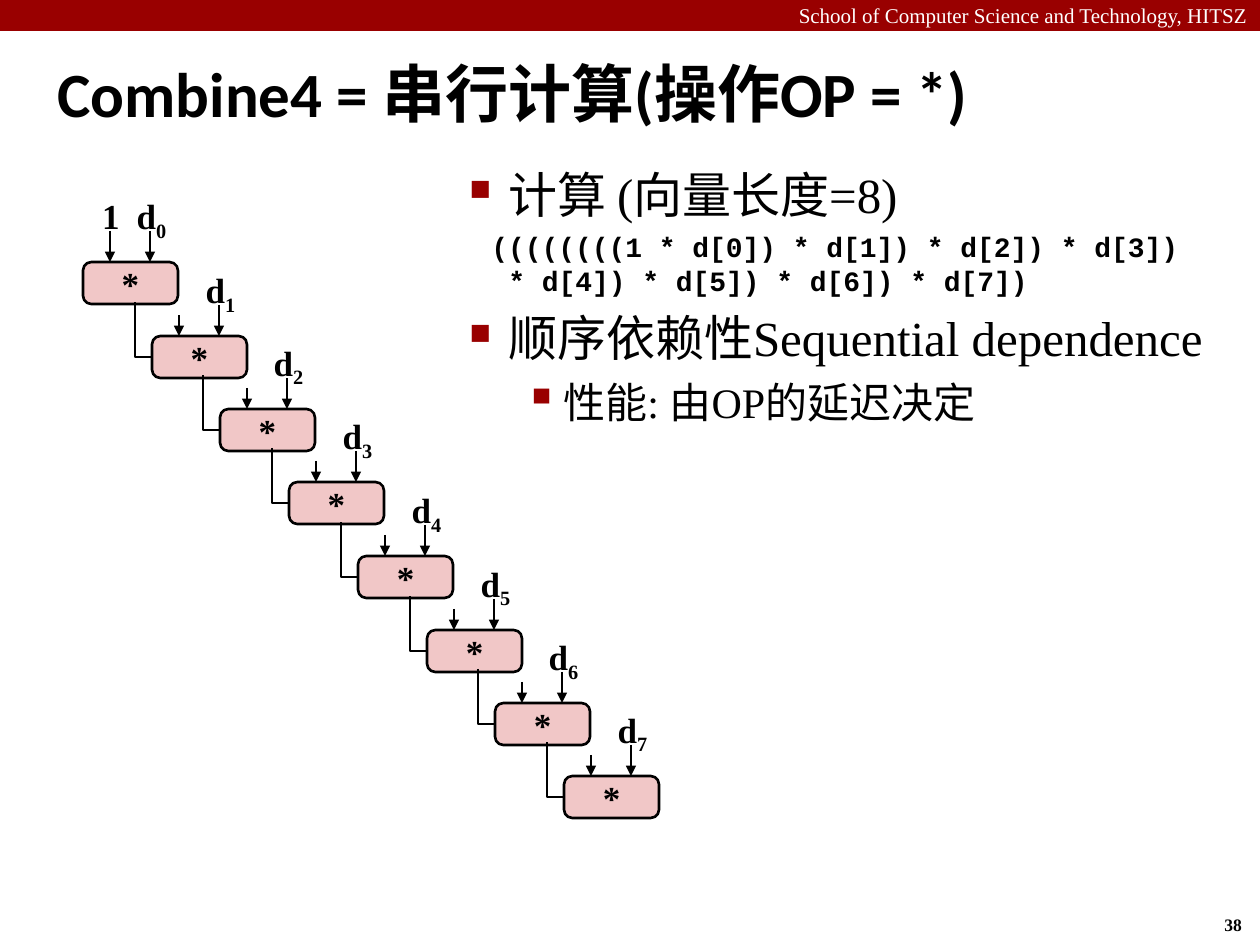
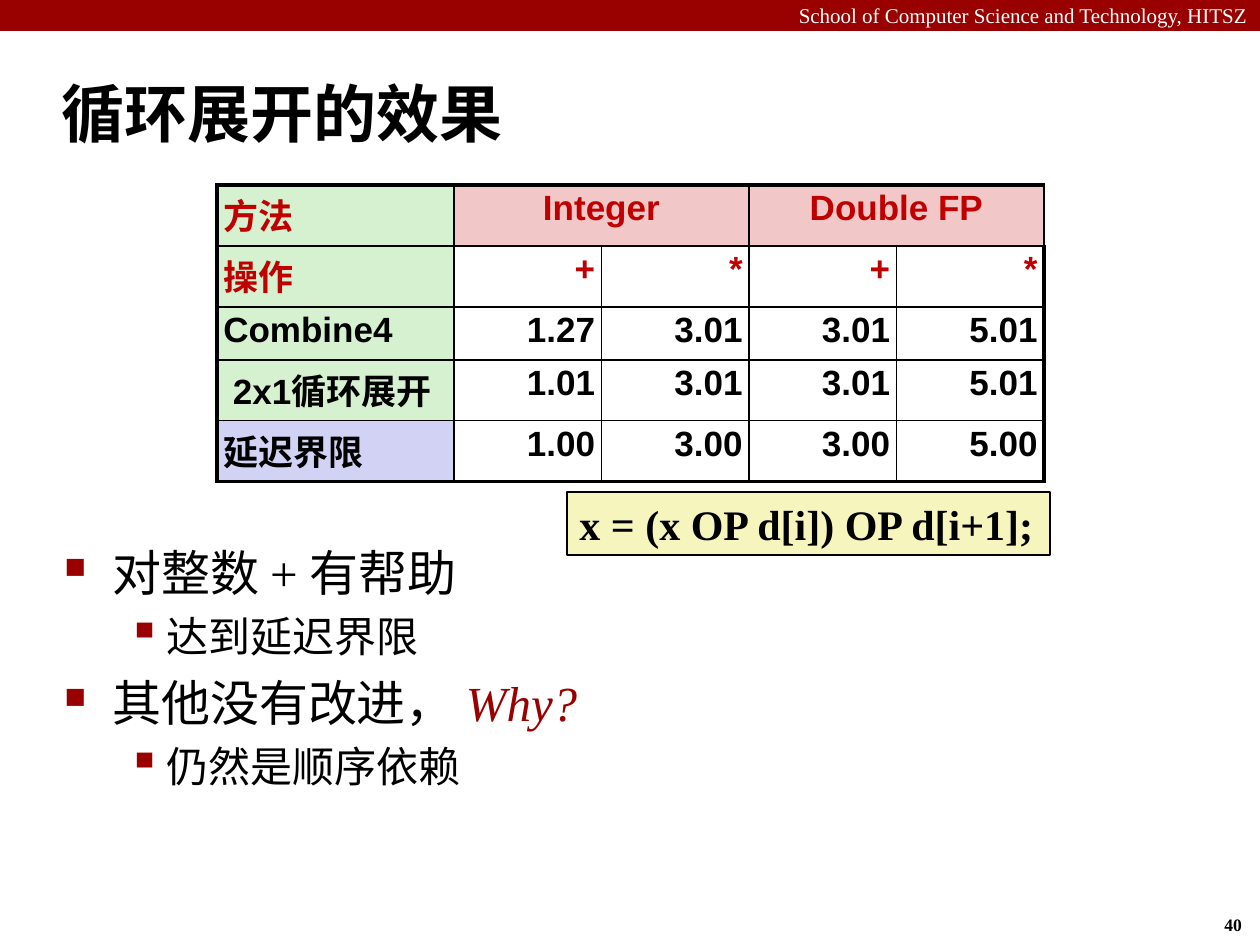
from dataclasses import dataclass

from lxml import etree
from pptx import Presentation, util as u
from pptx.dml.color import RGBColor
from pptx.enum import shapes, text
from pptx.oxml import ns

PX = u.Inches(1) / 126
ALIGN = text.PP_ALIGN
LINE_ENDS = {"type": "triangle"}


@dataclass(frozen=True)
class Theme:
    black: str = "000000"
    white: str = "FFFFFF"
    crimson: str = "990000"
    red: str = "C00000"
    pink: str = "F1C7C7"
    green: str = "D5F1CF"
    lilac: str = "D2D2F4"
    cream: str = "F6F5BD"
    serif: str = "Times New Roman"
    sans: str = "Arial"
    heading: str = "Calibri"
    mono: str = "Courier New"
    title: int = 36
    body: int = 28
    detail: int = 24
    label: int = 20
    code: int = 16
    header: int = 12
    number: int = 10


THEME = Theme()
TITLE = dict(name=THEME.heading, size=THEME.title, bold=True)
BODY = dict(size=THEME.body)
DETAIL = dict(size=THEME.detail)
LABEL = dict(size=THEME.label, bold=True)
CODE = dict(name=THEME.mono, size=THEME.code, bold=True)
CELL = dict(name=THEME.sans, size=THEME.label, bold=True)


def px(length):
    return u.Emu(round(length * PX))


def rgb(colour):
    return RGBColor.from_string(colour)


def apply(target, **values):
    for name, value in values.items():
        setattr(target, name, value)


def add_xml(parent, tag, **attributes):
    return etree.SubElement(parent, ns.qn(tag), attributes)


def add_span(para, words, name=THEME.serif, size=THEME.body, color=THEME.black,
             baseline=None, **style):
    span = para.add_run()
    span.text = words
    apply(span.font, name=name, size=u.Pt(size), **style)
    span.font.color.rgb = rgb(color)
    if baseline:
        span.font._element.set("baseline", str(baseline))


def set_frame(frame, inset=(12.6, 6.3), wrap=True, anchor=text.MSO_ANCHOR.TOP):
    across, down = (px(side) for side in inset)
    apply(frame, word_wrap=wrap, vertical_anchor=anchor,
          auto_size=text.MSO_AUTO_SIZE.NONE,
          margin_left=across, margin_right=across, margin_top=down, margin_bottom=down)


def set_indent(para, left, first):
    properties = para._p.get_or_add_pPr()
    properties.set("marL", str(px(left)))
    properties.set("indent", str(px(first)))
    return properties


def add_bullet(para, left, first, mark, percent):
    properties = set_indent(para, left, first)
    colour = add_xml(properties, "a:buClr")
    add_xml(colour, "a:srgbClr", val=THEME.crimson)
    add_xml(properties, "a:buSzPct", val=str(percent * 1000))
    add_xml(properties, "a:buChar", char=mark)


def add_label(page, place, words, align=ALIGN.LEFT, subscript="", frame=None, **style):
    box = page.shapes.add_textbox(*map(px, place))
    set_frame(box.text_frame, **(frame or {}))
    para = box.text_frame.paragraphs[0]
    para.alignment = align
    add_span(para, words, **style)
    if subscript:
        add_span(para, subscript, baseline=-25000, **style)


def add_panel(page, kind, place, fill, line=None):
    panel = page.shapes.add_shape(kind, *map(px, place))
    panel.shadow.inherit = False
    panel.fill.solid()
    panel.fill.fore_color.rgb = rgb(fill)
    if line:
        outline(panel, line)
    else:
        panel.line.fill.background()
    return panel


def outline(shape, width):
    shape.line.color.rgb = rgb(THEME.black)
    shape.line.width = u.Pt(width)


def add_arrow(page, x, top, bottom):
    arrow = page.shapes.add_connector(
        shapes.MSO_CONNECTOR.STRAIGHT, *map(px, (x, top, x, bottom)))
    outline(arrow, 1.5)
    add_xml(arrow.line._get_or_add_ln(), "a:tailEnd", **LINE_ENDS)
    add_xml(arrow._element.spPr, "a:effectLst")


def add_elbow(page, *points):
    start, *rest = [tuple(map(px, point)) for point in points]
    builder = page.shapes.build_freeform(*start)
    builder.add_line_segments(rest, close=False)
    elbow = builder.convert_to_shape()
    elbow.shadow.inherit = False
    elbow.fill.background()
    outline(elbow, 1.5)


def add_body(page, place, lines, levels):
    """Each line is (level, spans); levels maps a level to its indents and bullet."""
    box = page.shapes.add_textbox(*map(px, place))
    frame = box.text_frame
    set_frame(frame)
    for index, (level, spans) in enumerate(lines):
        para = frame.add_paragraph() if index else frame.paragraphs[0]
        if index:
            para.space_before = u.Pt(round(spans[0][1]["size"] * 0.23, 1))
        left, first, *bullet = levels[level]
        if bullet:
            add_bullet(para, left, first, *bullet)
        else:
            set_indent(para, left, first)
        for words, style in spans:
            pieces = words.split("\n")
            for number, piece in enumerate(pieces):
                if number:
                    para.add_line_break()
                add_span(para, piece, **style)


def start_page(deck, title, place, number):
    page = deck.slides.add_slide(deck.slide_layouts[5])
    add_panel(page, shapes.MSO_SHAPE.RECTANGLE, (0, 0, 1260, 31), THEME.crimson)
    add_label(page, (0, -4, 1260, 38), "School of Computer Science and Technology, HITSZ",
              ALIGN.RIGHT, size=THEME.header, color=THEME.white)
    add_label(page, (1212, 908, 47, 34), number, frame=dict(wrap=False),
              size=THEME.number, bold=True)
    left, top, width, height = map(px, place)
    heading = page.shapes.title
    apply(heading, left=left, top=top, width=width, height=height)
    set_frame(heading.text_frame, anchor=text.MSO_ANCHOR.MIDDLE)
    para = heading.text_frame.paragraphs[0]
    para.alignment = ALIGN.LEFT
    set_indent(para, 16, -16)
    add_span(para, title, **TITLE)
    return page


def add_multiply_step(page, index):
    left, top = 83 + round(index * 481 / 7), 262 + round(index * 73.5)
    box = add_panel(page, shapes.MSO_SHAPE.ROUNDED_RECTANGLE,
                    (left, top, 95, 42), THEME.pink, 1.5)
    box.adjustments[0] = 0.2
    set_frame(box.text_frame, wrap=False, anchor=text.MSO_ANCHOR.MIDDLE)
    para = box.text_frame.paragraphs[0]
    para.alignment = ALIGN.CENTER
    add_span(para, "*", **LABEL)

    tight = dict(inset=(6.3, 6.3))
    add_label(page, (left + 40, top - 74, 57, 55), "d", ALIGN.CENTER,
              subscript=str(index), frame=tight, **LABEL)
    add_arrow(page, left + 67, top - 31, top)
    add_arrow(page, left + 27, top - (21 if index else 31), top)
    if index:
        add_elbow(page, (left - 17, top - 34), (left - 17, top + 21), (left, top + 21))
    else:
        add_label(page, (left + 8, top - 74, 40, 55), "1", ALIGN.CENTER,
                  frame=tight, **LABEL)


def set_borders(cell, **widths):
    properties = cell._tc.get_or_add_tcPr()
    for index, side in enumerate("LRTB"):
        line = etree.Element(ns.qn(f"a:ln{side}"), w=str(u.Pt(widths[side])))
        add_xml(add_xml(line, "a:solidFill"), "a:srgbClr", val=THEME.black)
        properties.insert(index, line)


def fill_cell(cell, words, align, color, fill):
    inset = px(6.3)
    apply(cell, margin_left=inset, margin_right=inset, margin_top=inset, margin_bottom=inset)
    if fill:
        cell.fill.solid()
        cell.fill.fore_color.rgb = rgb(fill)
    else:
        cell.fill.background()
    para = cell.text_frame.paragraphs[0]
    apply(para, alignment=align, line_spacing=0.95)
    if words:
        add_span(para, words, color=color, **CELL)


def add_cycles_table(page, rows):
    last_row, last_column = len(rows) - 1, len(rows[0]) - 1
    table = page.shapes.add_table(len(rows), len(rows[0]),
                                  *map(px, (217, 185, 828, 267))).table
    apply(table, first_row=False, horz_banding=False)
    for index, column in enumerate(table.columns):
        column.width = px(147.5 if index else 237)
    for index, row in enumerate(table.rows):
        row.height = px(53 if index else 54)
    for r, values in enumerate(rows):
        for c, words in enumerate(values):
            if c == 0:
                align, fill = ALIGN.LEFT, THEME.lilac if r == last_row else THEME.green
            elif r == 0:
                align, fill = ALIGN.CENTER, THEME.pink
            else:
                align, fill = ALIGN.RIGHT, None
            cell = table.cell(r, c)
            fill_cell(cell, words, align, THEME.red if r < 2 else THEME.black, fill)
            set_borders(cell, L=1 if c else 2.25, R=2.25 if c == last_column else 1,
                        T=1 if r else 2.25, B=2.25 if r == last_row else 1)
    for c in (1, 3):
        table.cell(0, c).merge(table.cell(0, c + 1))
    table.cell(3, 0).margin_left = px(16)


def build_serial_page(deck):
    page = start_page(deck, "Combine4 = 串行计算(操作OP = *)", (45, 39, 1194, 107), "38")
    levels = {"main": (39, -39, "■", 60), "code": (39, -17), "detail": (94, -39, "▪", 110)}
    add_body(page, (457, 158, 781, 315), [
        ("main", [("计算 (向量长度=8)", BODY)]),
        ("code", [("((((((((1 * d[0]) * d[1]) * d[2]) * d[3])\n"
                   "* d[4]) * d[5]) * d[6]) * d[7])", CODE)]),
        ("main", [("顺序依赖性Sequential dependence", BODY)]),
        ("detail", [("性能: 由OP的延迟决定", DETAIL)]),
    ], levels)
    for index in range(8):
        add_multiply_step(page, index)


def build_unrolling_page(deck):
    page = start_page(deck, "循环展开的效果", (49, 60, 1211, 105), "40")
    levels = {"main": (48, -48, "■", 60), "detail": (102, -39, "▪", 110)}
    add_body(page, (52, 536, 1145, 368), [
        ("main", [("对整数 + 有帮助", BODY)]),
        ("detail", [("达到延迟界限", DETAIL)]),
        ("main", [("其他没有改进， ", BODY),
                  ("Why?", dict(BODY, color=THEME.crimson, italic=True))]),
        ("detail", [("仍然是顺序依赖", DETAIL)]),
    ], levels)
    formula = add_panel(page, shapes.MSO_SHAPE.RECTANGLE, (567, 492, 483, 63), THEME.cream, 1)
    set_frame(formula.text_frame, wrap=False)
    para = formula.text_frame.paragraphs[0]
    para.alignment = ALIGN.LEFT
    add_span(para, "x = (x OP d[i]) OP d[i+1];", bold=True, **DETAIL)
    add_cycles_table(page, [
        ("方法", "Integer", "", "Double FP", ""),
        ("操作", "+", "*", "+", "*"),
        ("Combine4", "1.27", "3.01", "3.01", "5.01"),
        ("2x1循环展开", "1.01", "3.01", "3.01", "5.01"),
        ("延迟界限", "1.00", "3.00", "3.00", "5.00"),
    ])


def main():
    deck = Presentation()
    apply(deck, slide_width=px(1260), slide_height=px(945))
    build_serial_page(deck)
    build_unrolling_page(deck)
    deck.save("out.pptx")


if __name__ == "__main__":
    main()
